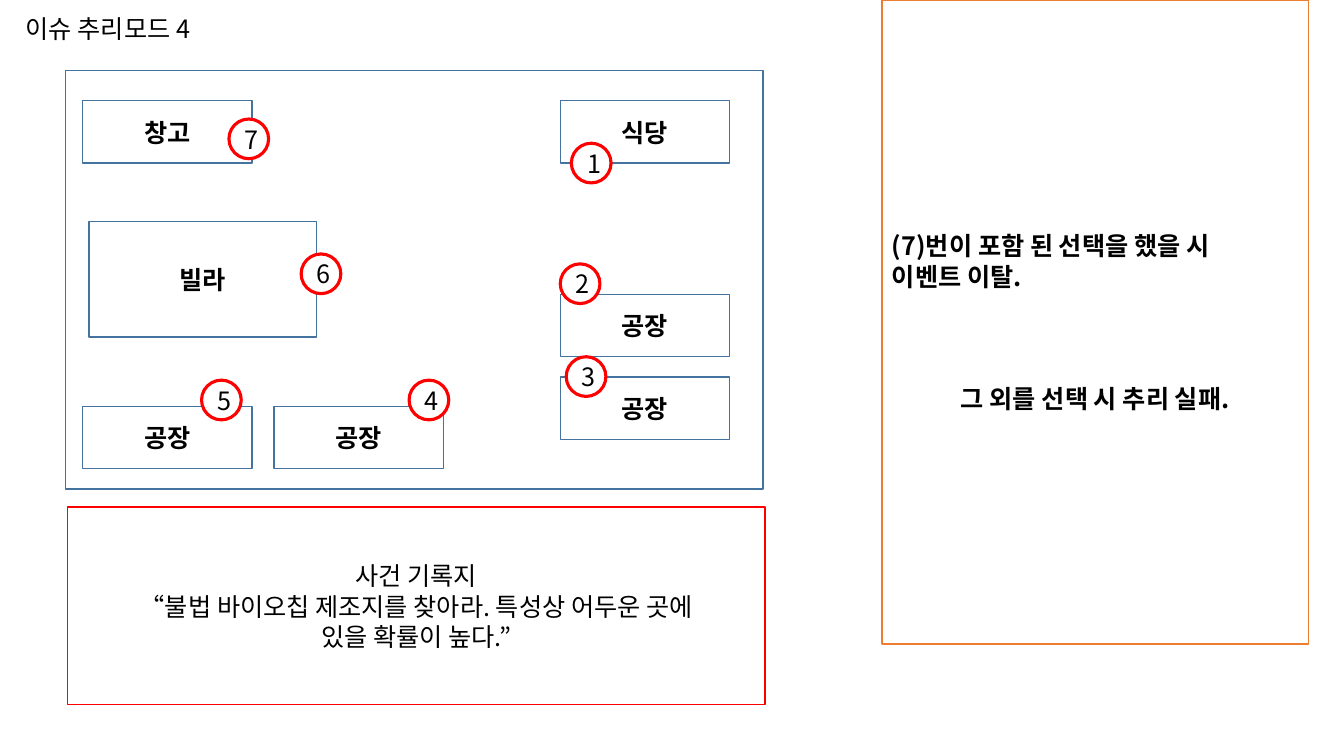
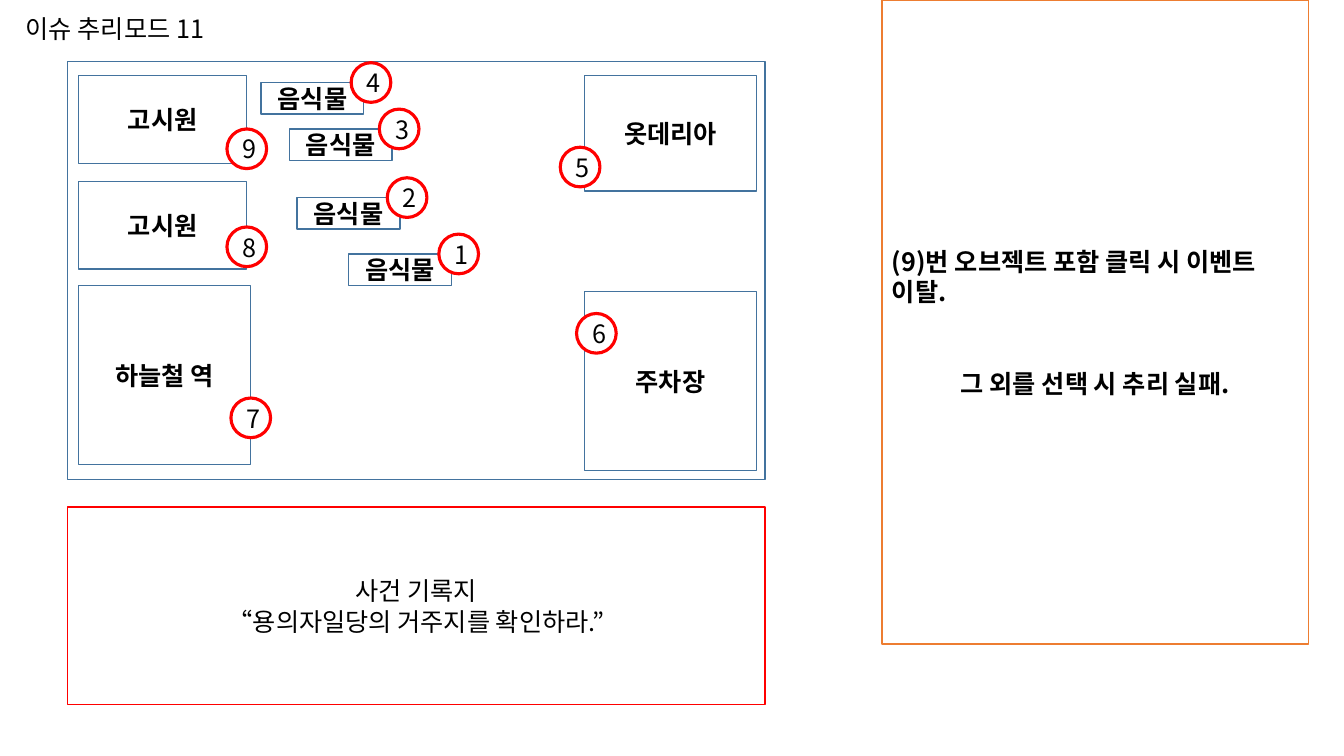
from dataclasses import dataclass
from typing import NamedTuple

from lxml.etree import SubElement
from pptx import Presentation
from pptx.dml.color import RGBColor
from pptx.enum.shapes import MSO_SHAPE as SHAPE
from pptx.enum.text import MSO_ANCHOR as ANCHOR, MSO_AUTO_SIZE as AUTO, PP_ALIGN as ALIGN
from pptx.oxml.ns import qn
from pptx.util import Cm, Pt

FONT = "Noto Sans CJK KR"
SIZE = 18
LINE_HEIGHT = 21.8
BLACK, WHITE = "000000", "FFFFFF"
BLUE, ORANGE, RED = "43739E", "ED7D31", "FF0000"
BADGE_SIZE = 1


class Box(NamedTuple):
    x: float
    y: float
    w: float
    h: float


class Line(NamedTuple):
    text: str
    align: ALIGN = ALIGN.CENTER
    blank_lines: int = 0


class Place(NamedTuple):
    name: str
    box: Box


@dataclass
class Stage:
    number: int
    area: Box
    rules: list[Line]
    record: list[str]
    places: list[Place]
    badges: list[tuple[float, float]]


TITLE = Box(0.4, 0.2, 8.2, 1.02)
PANEL = Box(22.23, 0, 10.74, 16.23)
RECORD = Box(1.7, 12.78, 17.58, 4.98)
FAILURE = "그 외를 선택 시 추리 실패."


def rgb(value: str) -> RGBColor:
    return RGBColor.from_string(value)


def lengths(box: Box) -> list[Cm]:
    return [Cm(v) for v in box]


def write(tf, lines: list[Line], bold: bool = False) -> None:
    tf.word_wrap = True
    for i, line in enumerate(lines):
        p = tf.add_paragraph() if i else tf.paragraphs[0]
        p.alignment = line.align
        p.line_spacing = Pt(LINE_HEIGHT)
        p.space_before = Pt(line.blank_lines * LINE_HEIGHT)
        r = p.add_run()
        r.text = line.text
        r.font.name = FONT
        r.font.size = Pt(SIZE)
        r.font.bold = bold
        r.font.color.rgb = rgb(BLACK)
        SubElement(r._r.get_or_add_rPr(), qn("a:ea"), typeface=FONT)


def add_outline(s, box: Box, color: str, lines: list[Line], bold: bool = False,
                kind: SHAPE = SHAPE.RECTANGLE, weight: float = 1) -> None:
    sp = s.shapes.add_shape(kind, *lengths(box))
    sp.shadow.inherit = False
    sp.fill.solid()
    sp.fill.fore_color.rgb = rgb(WHITE)
    sp.line.color.rgb = rgb(color)
    sp.line.width = Pt(weight)
    sp.text_frame.vertical_anchor = ANCHOR.MIDDLE
    write(sp.text_frame, lines, bold)


def add_title(s, number: int) -> None:
    tf = s.shapes.add_textbox(*lengths(TITLE)).text_frame
    write(tf, [Line(f"이슈 추리모드 {number}", ALIGN.LEFT)])
    tf.auto_size = AUTO.SHAPE_TO_FIT_TEXT


def add_stage(prs, stage: Stage) -> None:
    s = prs.slides.add_slide(prs.slide_layouts[6])
    add_outline(s, stage.area, BLUE, [])
    add_outline(s, PANEL, ORANGE, stage.rules, bold=True)
    add_title(s, stage.number)
    add_outline(s, RECORD, RED, [Line(t) for t in ["사건 기록지", *stage.record]])
    for place in stage.places:
        add_outline(s, place.box, BLUE, [Line(place.name)], bold=True)
    for number, (x, y) in enumerate(stage.badges, 1):
        add_outline(s, Box(x, y, BADGE_SIZE, BADGE_SIZE), RED, [Line(str(number))],
                    kind=SHAPE.OVAL, weight=2.25)


def places(name: str, w: float, h: float, *corners: tuple[float, float]) -> list[Place]:
    return [Place(name, Box(x, y, w, h)) for x, y in corners]


FOOD_CORNERS = [(8.79, 6.4), (7.49, 4.98), (7.29, 3.25), (6.58, 2.08)]
FOOD_BADGE_DX, FOOD_BADGE_DY = 2.27, -0.5

STAGES = [
    Stage(
        number=4,
        area=Box(1.65, 1.78, 17.58, 10.54),
        rules=[
            Line("(7)번이 포함 된 선택을 했을 시", ALIGN.LEFT),
            Line("이벤트 이탈.", ALIGN.LEFT),
            Line(FAILURE, blank_lines=3),
        ],
        record=["“불법 바이오칩 제조지를 찾아라. 특성상 어두운 곳에", "있을 확률이 높다.”"],
        places=[
            *places("창고", 4.27, 1.57, (2.08, 2.54)),
            *places("식당", 4.27, 1.57, (14.12, 2.54)),
            *places("공장", 4.27, 1.57,
                    (14.12, 7.42), (14.12, 9.5), (2.08, 10.24), (6.91, 10.24)),
            *places("빌라", 5.74, 2.9, (2.24, 5.59)),
        ],
        badges=[(14.4, 3.61), (14.12, 6.65), (14.27, 8.99), (10.31, 9.58),
                (5.08, 9.58), (7.59, 6.4), (5.77, 3)],
    ),
    Stage(
        number=11,
        area=Box(1.7, 1.55, 17.58, 10.54),
        rules=[
            Line("(9)번 오브젝트 포함 클릭 시 이벤트 이탈.", ALIGN.LEFT),
            Line(FAILURE, blank_lines=2),
        ],
        record=["“용의자일당의 거주지를 확인하라.”"],
        places=[
            *places("고시원", 4.24, 2.21, (1.98, 1.91), (1.98, 4.57)),
            *places("음식물", 2.59, 0.79, *FOOD_CORNERS),
            *places("옷데리아", 4.34, 2.9, (14.73, 1.91)),
            *places("주차장", 4.34, 4.52, (14.73, 7.34)),
            *places("하늘철 역", 4.34, 4.52, (1.98, 7.19)),
        ],
        badges=[
            *((x + FOOD_BADGE_DX, y + FOOD_BADGE_DY) for x, y in FOOD_CORNERS),
            (14.12, 3.71), (14.53, 7.9), (5.82, 10.03), (5.72, 5.72), (5.72, 3.25),
        ],
    ),
]


def main() -> None:
    prs = Presentation()
    prs.slide_width, prs.slide_height = Cm(33.87), Cm(19.05)
    for stage in STAGES:
        add_stage(prs, stage)
    prs.save("out.pptx")


main()
